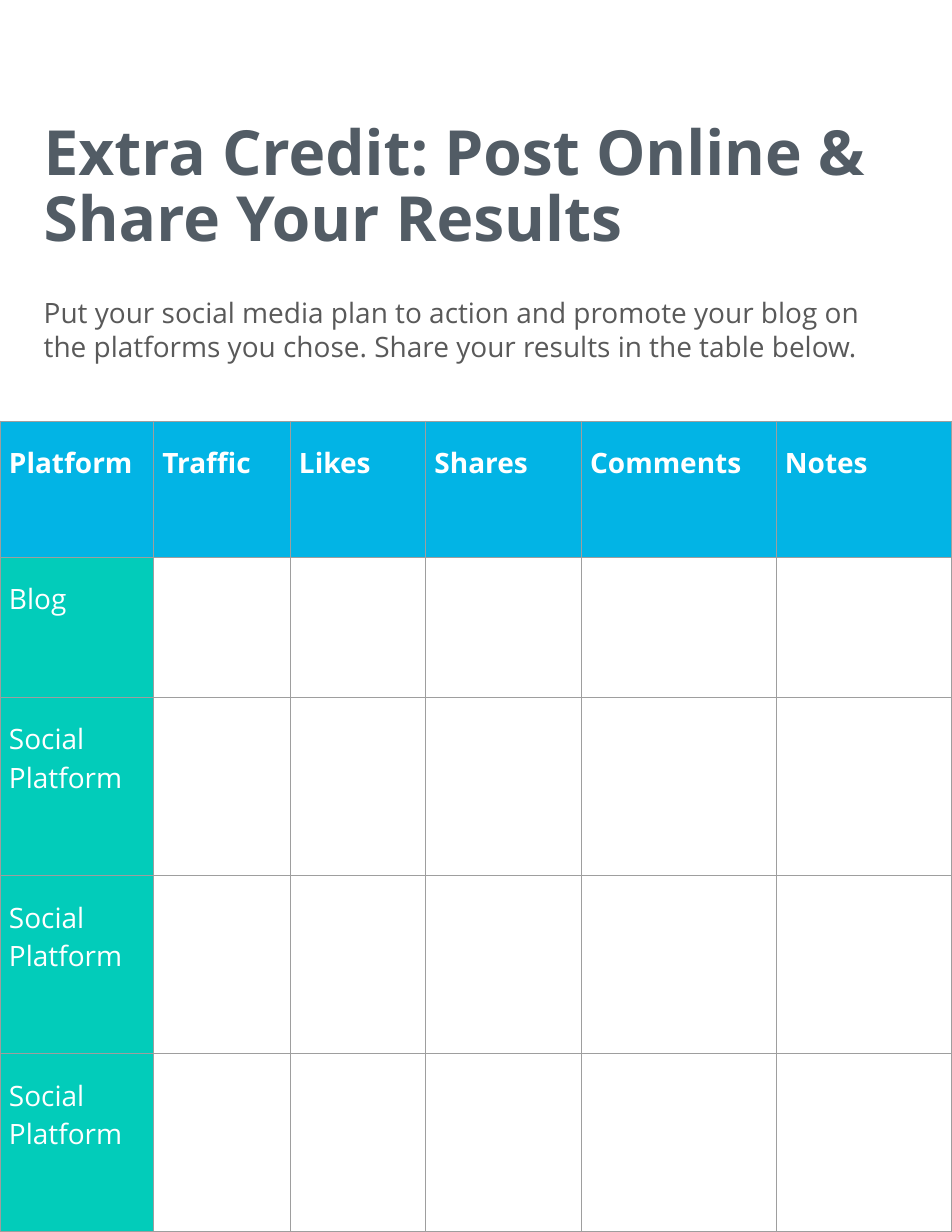
from pptx import Presentation
from pptx.dml.color import RGBColor
from pptx.enum.text import MSO_ANCHOR, MSO_AUTO_SIZE, PP_ALIGN
from pptx.oxml import parse_xml
from pptx.oxml.ns import nsdecls
from pptx.util import Inches, Pt

TOP, LEFT, FIXED = MSO_ANCHOR.TOP, PP_ALIGN.LEFT, MSO_AUTO_SIZE.NONE
FONT = "Open Sans"
SLATE = RGBColor(0x52, 0x5C, 0x65)
GRAY = RGBColor(0x59, 0x59, 0x59)
WHITE = RGBColor(0xFF, 0xFF, 0xFF)
BLUE = RGBColor(0x02, 0xB4, 0xE5)
TEAL = RGBColor(0x02, 0xCC, 0xBA)
RULE = RGBColor(0x9E, 0x9E, 0x9E)

TITLE = "Extra Credit: Post Online & Share Your Results"
INTRO = ("Put your social media plan to action and promote your blog on "
         "the platforms you chose. Share your results in the table below.")
HEADS = ["Platform", "Traffic", "Likes", "Shares", "Comments", "Notes"]
LABELS = ["Blog"] + ["Social Platform"] * 3
WIDTHS = [1.37, 1.22, 1.21, 1.39, 1.74, 1.57]
HEIGHTS = [1.22, 1.25, 1.59, 1.59, 1.59]


def style(para, size, color, bold=False):
    font = para.font
    font.name, font.size, font.bold = FONT, Pt(size), bold
    font.color.rgb = color
    para.alignment = LEFT


def place(shape, text, top, height, inset, size, color, bold, pitch):
    shape.left, shape.top = Inches(0.29), Inches(top)
    shape.width, shape.height = Inches(7.92), Inches(height)
    frame = shape.text_frame
    frame.text = text
    frame.word_wrap, frame.auto_size = True, FIXED
    frame.vertical_anchor = TOP
    frame.margin_left = frame.margin_right = frame.margin_bottom = Inches(0.1)
    frame.margin_top = Inches(inset)
    para = frame.paragraphs[0]
    style(para, size, color, bold)
    para.line_spacing, para.space_before = pitch, Pt(0)
    return para


def border(cell):
    props = cell._tc.get_or_add_tcPr()
    for i, side in enumerate(("lnL", "lnR", "lnT", "lnB")):
        props.insert(i, parse_xml(
            f'<a:{side} {nsdecls("a")} w="{Pt(0.75)}"><a:solidFill>'
            f'<a:srgbClr val="{RULE}"/></a:solidFill></a:{side}>'))


deck = Presentation()
deck.slide_width, deck.slide_height = Inches(8.5), Inches(11)
slide = deck.slides.add_slide(deck.slide_layouts[1])

place(slide.shapes.title, TITLE, 0.95, 1.22, 0.15, 40, SLATE, True, 0.88)
intro = place(slide.placeholders[1], INTRO, 2.51, 7.01, 0.12, 18, GRAY,
              False, 1.02)
props = intro._p.get_or_add_pPr()
props.set("marL", "0")
props.set("indent", "0")
props.append(parse_xml(f'<a:buNone {nsdecls("a")}/>'))

rows = [HEADS] + [[label] + [""] * (len(HEADS) - 1) for label in LABELS]
table = slide.shapes.add_table(
    len(rows), len(HEADS), 0, Inches(3.76),
    Inches(sum(WIDTHS)), Inches(sum(HEIGHTS))).table
table.horz_banding = False
for col, width in zip(table.columns, WIDTHS):
    col.width = Inches(width)
for r, (row, height) in enumerate(zip(rows, HEIGHTS)):
    table.rows[r].height = Inches(height)
    for c, text in enumerate(row):
        cell = table.cell(r, c)
        cell.text = text
        cell.margin_left = cell.margin_right = Inches(0.08)
        cell.margin_top = cell.margin_bottom = Inches(0.2)
        style(cell.text_frame.paragraphs[0], 18, WHITE, r == 0)
        if text:
            cell.fill.solid()
            cell.fill.fore_color.rgb = BLUE if r == 0 else TEAL
        else:
            cell.fill.background()
        border(cell)

deck.save("out.pptx")
